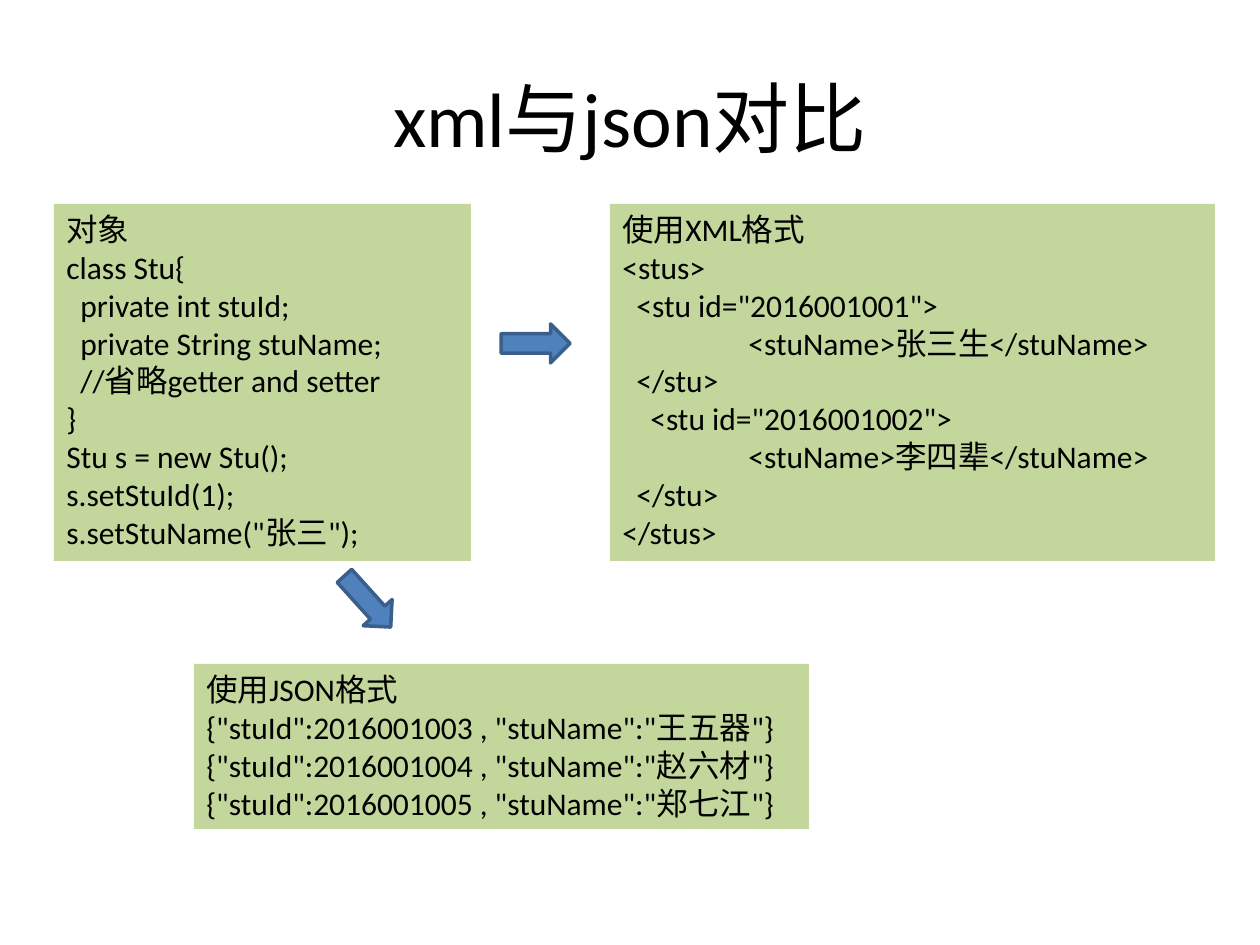
from pptx import Presentation
from pptx.dml.color import RGBColor
from pptx.enum.shapes import MSO_SHAPE
from pptx.enum.text import MSO_ANCHOR, MSO_AUTO_SIZE, PP_ALIGN
from pptx.util import Emu, Pt

RECT = MSO_SHAPE.RECTANGLE
RIGHT_ARROW = MSO_SHAPE.RIGHT_ARROW
TOP, MIDDLE = MSO_ANCHOR.TOP, MSO_ANCHOR.MIDDLE
LEFT, CENTER = PP_ALIGN.LEFT, PP_ALIGN.CENTER
GROW = MSO_AUTO_SIZE.SHAPE_TO_FIT_TEXT

PX_PER_INCH = 126
STEP = 14
TAB = 126


def px(n):
    return Emu(round(n * 914400 / PX_PER_INCH))


def rgb(value):
    return RGBColor.from_string(value)


class Deck:
    font = "Calibri"
    ink = "000000"
    panel_fill = "C3D69B"
    arrow_fill = "4F81BD"
    arrow_line = "3A5F8C"

    def __init__(self, width, height):
        self.prs = Presentation()
        self.prs.slide_width, self.prs.slide_height = px(width), px(height)
        self.s = self.prs.slides.add_slide(self.prs.slide_layouts[6])

    def shape(self, kind, box, fill):
        sp = self.s.shapes.add_shape(kind, *map(px, box))
        sp.shadow.inherit = False
        sp.fill.solid()
        sp.fill.fore_color.rgb = rgb(fill)
        return sp

    def set_text(self, tf, lines, size, align, anchor):
        tf.word_wrap = True
        tf.vertical_anchor = anchor
        tf.text = "\n".join(text for text, _ in lines)
        for p, (_, indent) in zip(tf.paragraphs, lines):
            p.alignment = align
            if indent:
                pPr = p._p.get_or_add_pPr()
                pPr.set("marL", str(px(indent)))
                pPr.set("indent", "0")
            for r in p.runs:
                r.font.name = self.font
                r.font.size = Pt(size)
                r.font.color.rgb = rgb(self.ink)

    def title(self, box, text):
        sp = self.s.shapes.add_textbox(*map(px, box))
        self.set_text(sp.text_frame, [(text, 0)], 44, CENTER, MIDDLE)

    def panel(self, box, lines):
        sp = self.shape(RECT, box, self.panel_fill)
        sp.line.fill.background()
        self.set_text(sp.text_frame, lines, 18, LEFT, TOP)
        sp.text_frame.auto_size = GROW

    def arrow(self, box, rotation=0):
        sp = self.shape(RIGHT_ARROW, box, self.arrow_fill)
        sp.line.color.rgb = rgb(self.arrow_line)
        sp.line.width = Pt(2)
        sp.rotation = rotation


def main():
    deck = Deck(1260, 945)
    deck.title((63, 38, 1134, 157), "xml与json对比")

    deck.panel((54, 204, 417, 357), [
        ("对象", 0),
        ("class Stu{", 0),
        ("private int stuId;", STEP),
        ("private String stuName;", STEP),
        ("//省略getter and setter", STEP),
        ("}", 0),
        ("Stu s = new Stu();", 0),
        ("s.setStuId(1);", 0),
        ('s.setStuName("张三");', 0),
    ])

    xml_lines = [("使用XML格式", 0), ("<stus>", 0)]
    for number, name, indent in [("2016001001", "张三生", STEP),
                                 ("2016001002", "李四辈", 2 * STEP)]:
        xml_lines += [
            (f'<stu id="{number}">', indent),
            (f"<stuName>{name}</stuName>", TAB),
            ("</stu>", STEP),
        ]
    xml_lines.append(("</stus>", 0))
    deck.panel((610, 204, 605, 357), xml_lines)

    json_lines = [("使用JSON格式", 0)]
    for number, name in enumerate(["王五器", "赵六材", "郑七江"], 2016001003):
        json_lines.append((f'{{"stuId":{number} , "stuName":"{name}"}}', 0))
    deck.panel((194, 664, 615, 165), json_lines)

    deck.arrow((501, 324, 69, 39))
    deck.arrow((333, 582, 69, 39), 47.9)
    deck.prs.save("out.pptx")


if __name__ == "__main__":
    main()
